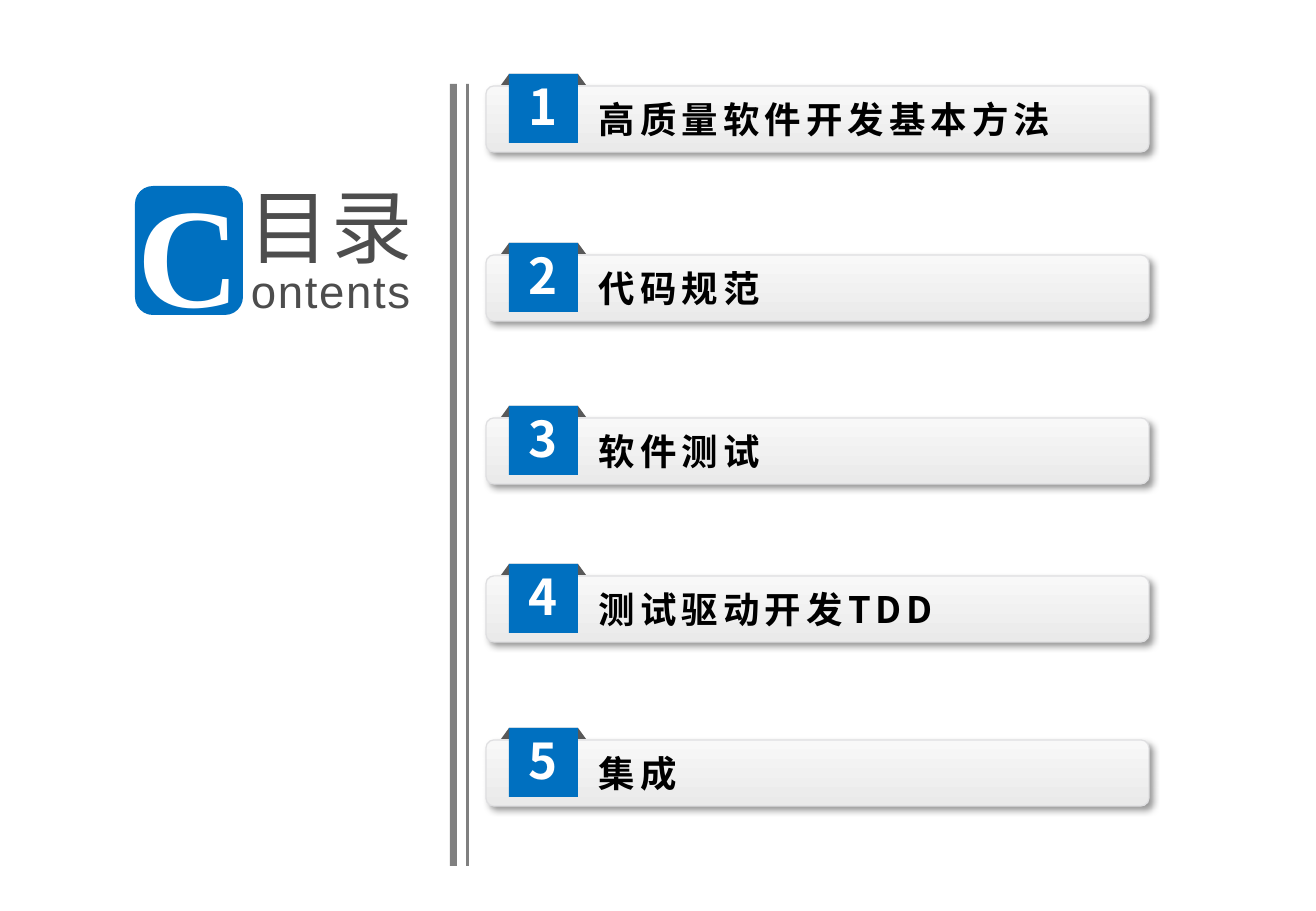
import pptx
import pptx.util
import pptx.dml.color
import pptx.enum.shapes
import pptx.enum.text
import lxml.etree
from pptx.oxml.ns import qn

SCALE = 914400 / 121.5
KIND = pptx.enum.shapes.MSO_SHAPE
ALIGN = pptx.enum.text.PP_ALIGN
SANS = "Noto Sans CJK SC"
BLUE = "0070C0"
GRAY = "4D4D4D"

rgb = pptx.dml.color.RGBColor.from_string

deck = pptx.Presentation()
deck.slide_width = round(1316 * SCALE)
deck.slide_height = round(911 * SCALE)
slide = deck.slides.add_slide(deck.slide_layouts[6])


def draw(kind, x, y, w, h, fill=None):
    box = [round(n * SCALE) for n in (x, y, w, h)]
    if kind is None:
        return slide.shapes.add_textbox(*box)
    shape = slide.shapes.add_shape(kind, *box)
    shape.shadow.inherit = False
    shape.line.fill.background()
    if fill:
        shape.fill.solid()
        shape.fill.fore_color.rgb = rgb(fill)
    return shape


def write(shape, text, size, color, face=SANS, bold=True, align=ALIGN.CENTER, gap=0, foot=0):
    frame = shape.text_frame
    frame.word_wrap = False
    frame.vertical_anchor = pptx.enum.text.MSO_ANCHOR.MIDDLE
    frame.margin_left = frame.margin_right = frame.margin_top = 0
    frame.margin_bottom = round(foot * SCALE)
    line = frame.paragraphs[0]
    line.text = text
    line.alignment = align
    font = line.font
    font.size = pptx.util.Pt(size)
    font.bold = bold
    font.name = face
    font.color.rgb = rgb(color)
    props = line._p.pPr.find(qn("a:defRPr"))
    props.set("spc", str(gap * 100))
    lxml.etree.SubElement(props, qn("a:ea"), typeface=face)


badge = draw(KIND.ROUNDED_RECTANGLE, 135, 186, 108, 129, BLUE)
write(badge, "C", 84, "FFFFFF", "Liberation Serif")
write(draw(None, 251, 264, 165, 52), "ontents", 27, GRAY, "Liberation Sans", False, ALIGN.LEFT, 1)
write(draw(None, 249, 165, 175, 120), "目录", 48, GRAY, SANS, False, ALIGN.LEFT, 1)

for x, w in ((450, 7), (466, 3)):
    draw(KIND.RECTANGLE, x, 84, w, 782, "808080")

topics = [
    (86, "高质量软件开发基本方法"),
    (255, "代码规范"),
    (418, "软件测试"),
    (576, "测试驱动开发TDD"),
    (740, "集成"),
]
for num, (top, name) in enumerate(topics, 1):
    bar = draw(KIND.ROUNDED_RECTANGLE, 486, top, 663, 66)
    bar.adjustments[0] = 0.12
    bar.fill.gradient()
    bar.fill.gradient_angle = 270
    for stop, color in zip(bar.fill.gradient_stops, ("F8F8F8", "EAEAEA")):
        stop.color.rgb = rgb(color)
    bar.line.color.rgb = rgb("DFDFE1")
    bar.line.width = 0
    glow = bar._element.spPr.find(qn("a:effectLst"))
    cast = lxml.etree.SubElement(
        glow, qn("a:outerShdw"), blurRad="50800", dist="38100",
        dir="2700000", algn="tl", rotWithShape="0")
    tint = lxml.etree.SubElement(cast, qn("a:srgbClr"), val="000000")
    lxml.etree.SubElement(tint, qn("a:alpha"), val="40000")

    flap = draw(KIND.TRAPEZOID, 501, top - 12, 85, 11, "595959")
    flap.adjustments[0] = 0.73
    tab = draw(KIND.RECTANGLE, 509, top - 12, 69, 69, BLUE)
    write(tab, str(num), 29.2, "FFFFFF", foot=5)
    write(draw(None, 599, top, 524, 66), name, 21.6, "000000", align=ALIGN.LEFT, gap=3)

deck.save("out.pptx")
